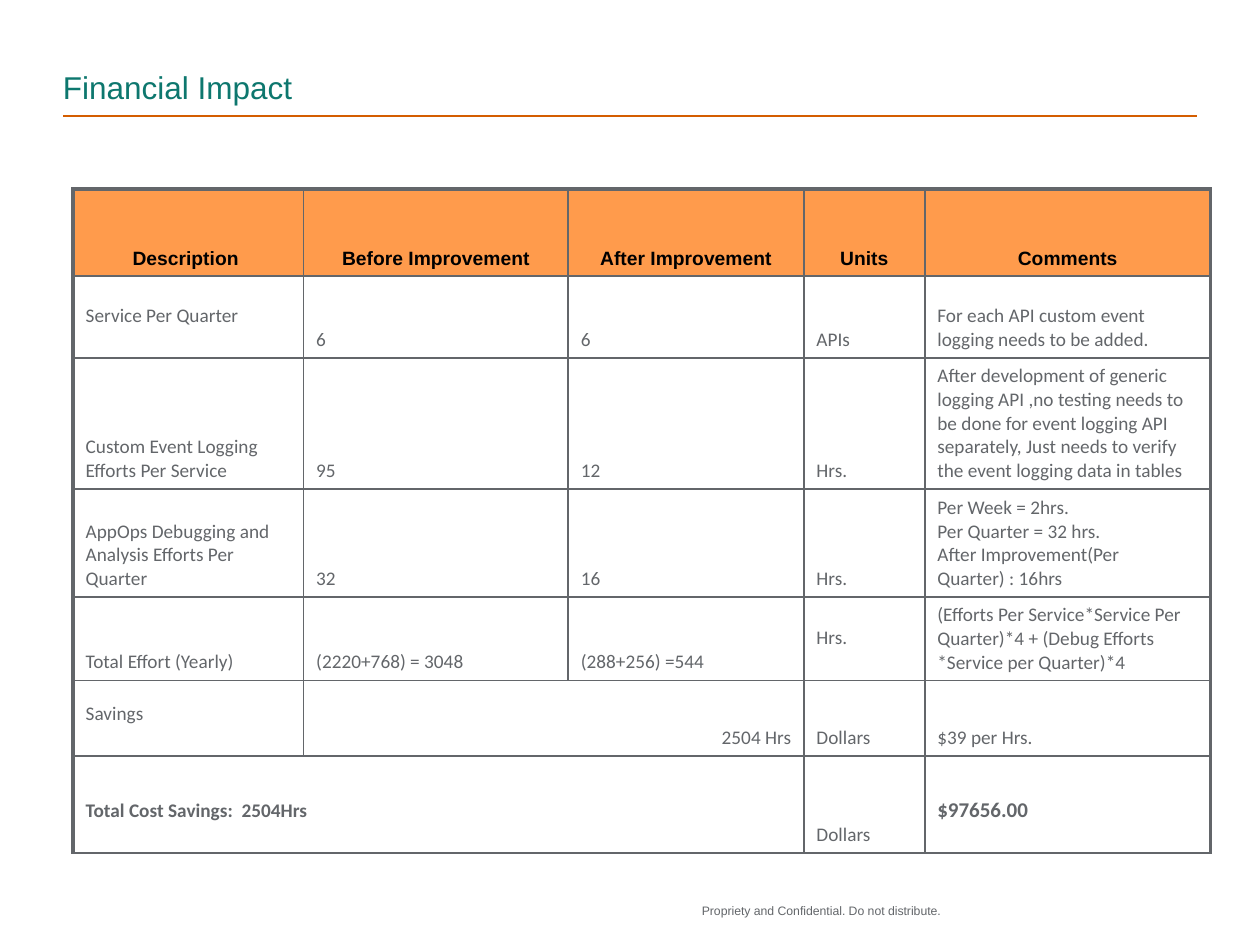
from pptx import Presentation
from pptx.dml.color import RGBColor
from pptx.enum.shapes import MSO_CONNECTOR
from pptx.enum.text import MSO_ANCHOR, PP_ALIGN
from pptx.oxml.ns import qn
from pptx.util import Inches, Pt
from lxml.etree import SubElement

TEAL = RGBColor(0x0D, 0x77, 0x6E)
RUST = RGBColor(0xD4, 0x5D, 0x00)
ORANGE = RGBColor(0xFF, 0x9B, 0x4C)
GREY = RGBColor(0x63, 0x66, 0x6A)
BLACK = RGBColor(0, 0, 0)

# Content: None marks a cell covered by the one to its left
TITLE = "Financial Impact"
FOOTER = "Propriety and Confidential. Do not distribute."
ROWS = [
    ["Description\u00a0", "Before Improvement", "After Improvement", "Units", "Comments"],
    ["Service Per Quarter", "6", "6", "APIs",
     "For each API custom event logging needs to be added."],
    ["Custom Event Logging  Efforts Per Service", "95", "12", "Hrs.",
     "After development of generic logging API ,no testing needs to be done for event "
     "logging API separately, Just needs to verify the event logging data in tables"],
    ["AppOps Debugging and Analysis Efforts Per Quarter", "32", "16", "Hrs.",
     "Per Week = 2hrs.\nPer Quarter = 32 hrs.\nAfter Improvement(Per Quarter) : 16hrs"],
    ["Total Effort (Yearly)", "(2220+768) = 3048", "(288+256) =544", "Hrs.",
     "(Efforts Per Service*Service Per Quarter)*4 + (Debug Efforts *Service per Quarter)*4"],
    ["Savings", "2504 Hrs", None, "Dollars", "$39 per Hrs."],
    ["Total Cost Savings:  2504Hrs", None, None, "Dollars", "$97656.00"],
]
COL_WIDTHS = [1.83, 2.1, 1.87, 0.96, 2.27]
ROW_HEIGHTS = [0.69, 0.65, 1.04, 0.86, 0.66, 0.6, 0.77]
RAISED = {(1, 0), (4, 3), (5, 0), (6, 0), (6, 4)}  # text sits one line higher
BOLD = {(6, 0), (6, 4)}
SIZES = {(6, 4): 12}
RIGHT = {(5, 1)}
THIN, THICK = 1, 2.25

prs = Presentation()
prs.slide_width, prs.slide_height = Inches(10), Inches(7.5)
s = prs.slides.add_slide(prs.slide_layouts[6])


def style(p, size, color, font="Arial", bold=False):
    for r in p.runs:
        r.font.size, r.font.name, r.font.bold = Pt(size), font, bold
        r.font.color.rgb = color


def add_text(text, box, size, color, anchor, wrap):
    tf = s.shapes.add_textbox(*map(Inches, box)).text_frame
    tf.margin_left = tf.margin_right = tf.margin_top = tf.margin_bottom = 0
    tf.word_wrap, tf.vertical_anchor = wrap, anchor
    tf.text = text
    style(tf.paragraphs[0], size, color)


def set_borders(cell, widths):
    tc_pr = cell._tc.get_or_add_tcPr()
    for i, (side, width) in enumerate(widths.items()):
        ln = tc_pr.makeelement(qn(f"a:ln{side}"), {"w": str(Pt(width))})
        fill = SubElement(ln, qn("a:solidFill"))
        SubElement(fill, qn("a:srgbClr"), val=str(GREY))
        tc_pr.insert(i, ln)  # borders come before the fill


# Title, rule and footer
rule = s.shapes.add_connector(MSO_CONNECTOR.STRAIGHT, Inches(0.5), Inches(0.92),
                              Inches(9.5), Inches(0.92))
rule.line.color.rgb, rule.line.width = RUST, Pt(1)
SubElement(rule._element.spPr, qn("a:effectLst"))
add_text(FOOTER, (5.57, 7.17, 2.08, 0.25), 7, GREY, MSO_ANCHOR.TOP, False)
add_text(TITLE, (0.5, 0.17, 9, 0.67), 18, TEAL, MSO_ANCHOR.BOTTOM, True)

# Table grid
n_rows, n_cols = len(ROWS), len(COL_WIDTHS)
table = s.shapes.add_table(n_rows, n_cols, Inches(0.58), Inches(1.5),
                           Inches(sum(COL_WIDTHS)), Inches(sum(ROW_HEIGHTS))).table
table.horz_banding = False
for column, width in zip(table.columns, COL_WIDTHS):
    column.width = Inches(width)
for row, height in zip(table.rows, ROW_HEIGHTS):
    row.height = Inches(height)

# Table cells
for r, texts in enumerate(ROWS):
    for c, text in enumerate(texts):
        cell, header = table.cell(r, c), r == 0
        if header:
            cell.fill.solid()
            cell.fill.fore_color.rgb = ORANGE
        else:
            cell.fill.background()
        set_borders(cell, {"L": THICK if c == 0 else THIN,
                           "R": THICK if c == n_cols - 1 else THIN,
                           "T": THICK if header else THIN, "B": THIN})
        if text is None:
            continue
        span = 1
        while c + span < n_cols and texts[c + span] is None:
            span += 1
        if span > 1:
            cell.merge(table.cell(r, c + span - 1))
        cell.vertical_anchor = MSO_ANCHOR.BOTTOM
        cell.margin_bottom = Inches(0.24 if (r, c) in RAISED else 0.05)
        cell.text_frame.text = text
        for p in cell.text_frame.paragraphs:
            if header:
                p.alignment, p.line_spacing = PP_ALIGN.CENTER, 0.95
                style(p, 11, BLACK, bold=True)
            else:
                p.alignment = PP_ALIGN.RIGHT if (r, c) in RIGHT else PP_ALIGN.LEFT
                style(p, SIZES.get((r, c), 11), GREY, "Calibri", (r, c) in BOLD)

prs.save("out.pptx")
